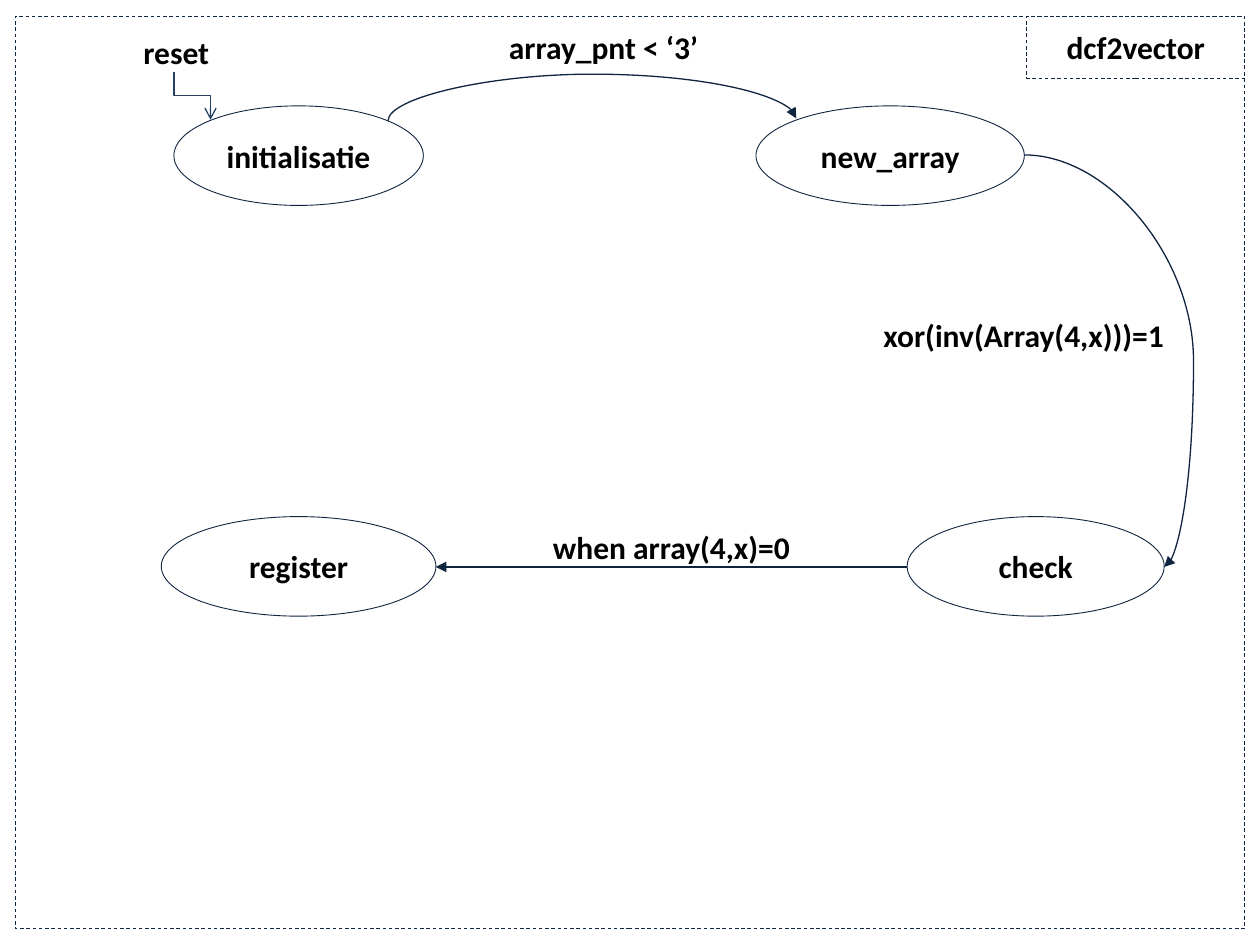
from dataclasses import dataclass

from lxml import etree
from pptx import Presentation
from pptx.dml.color import RGBColor
from pptx.enum import dml, shapes, text
from pptx.oxml import ns
from pptx.util import Inches, Pt

NAVY = RGBColor(0x0F, 0x24, 0x3E)
BLUE = RGBColor(0x25, 0x40, 0x61)
BLACK = RGBColor(0, 0, 0)
WHITE = RGBColor(255, 255, 255)
STATE_H = 0.79
LABEL_H = 0.4


@dataclass
class Frame:
    x: float
    y: float
    w: float
    h: float
    name: str = ""


@dataclass
class State:
    name: str
    x: float
    y: float
    w: float


@dataclass
class Label:
    words: str
    x: float
    y: float
    w: float
    wrap: bool = True


@dataclass
class Transition:
    start: tuple[float, float]
    end: tuple[float, float]
    bend: float = 0.5
    vertical: bool = False
    kind: shapes.MSO_CONNECTOR = shapes.MSO_CONNECTOR.CURVE
    color: RGBColor = NAVY
    head: str = "triangle"


FRAMES = [Frame(8.15, 0.13, 1.73, 0.49, "dcf2vector"), Frame(0.12, 0.13, 9.76, 7.24)]
STATES = [
    State("check", 7.2, 4.1, 2.04),
    State("new_array", 6, 0.84, 2.13),
    State("register", 1.28, 4.1, 2.18),
    State("initialisatie", 1.38, 0.84, 1.98),
]
TRANSITIONS = [
    Transition((3.08, 0.96), (6.32, 0.94), 18.5, vertical=True),
    Transition((8.13, 1.23), (9.24, 4.5), 1.21),
    Transition((7.2, 4.5), (3.46, 4.5)),
    Transition((1.38, 0.57), (1.67, 0.95), vertical=True,
               kind=shapes.MSO_CONNECTOR.ELBOW, color=BLUE, head="arrow"),
]
LABELS = [
    Label("array_pnt < ‘3’", 3.75, 0.17, 2.08),
    Label("xor(inv(Array(4,x)))=1", 6.87, 2.46, 2.51),
    Label("reset", 1.04, 0.21, 0.73, wrap=False),
    Label("when array(4,x)=0", 4.29, 4.14, 2.08),
]


def write(sp, words: str, align=text.PP_ALIGN.CENTER) -> None:
    p = sp.text_frame.paragraphs[0]
    p.text = words
    p.alignment = align
    p.font.name = "Calibri"
    p.font.size = Pt(18)
    p.font.bold = True
    p.font.color.rgb = BLACK


def add_outline(s, kind, x: float, y: float, w: float, h: float, words: str):
    sp = s.shapes.add_shape(kind, Inches(x), Inches(y), Inches(w), Inches(h))
    sp.shadow.inherit = False
    sp.line.color.rgb = NAVY
    sp.line.width = Pt(0.5)
    sp.text_frame.vertical_anchor = text.MSO_ANCHOR.MIDDLE
    if words:
        write(sp, words)
    return sp


def add_frame(s, f: Frame) -> None:
    sp = add_outline(s, shapes.MSO_SHAPE.RECTANGLE, f.x, f.y, f.w, f.h, f.name)
    sp.fill.background()
    sp.line.dash_style = dml.MSO_LINE.DASH


def add_state(s, st: State) -> None:
    sp = add_outline(s, shapes.MSO_SHAPE.OVAL, st.x, st.y, st.w, STATE_H, st.name)
    sp.fill.solid()
    sp.fill.fore_color.rgb = WHITE


def add_label(s, lb: Label) -> None:
    sp = s.shapes.add_textbox(Inches(lb.x), Inches(lb.y), Inches(lb.w), Inches(LABEL_H))
    sp.text_frame.word_wrap = lb.wrap
    sp.text_frame.auto_size = text.MSO_AUTO_SIZE.SHAPE_TO_FIT_TEXT
    write(sp, lb.words, text.PP_ALIGN.CENTER if lb.wrap else text.PP_ALIGN.LEFT)


def add_transition(s, t: Transition) -> None:
    (x1, y1), (x2, y2) = t.start, t.end
    down = y2 > y1
    if t.vertical:
        cx, cy = (x1 + x2) / 2, (y1 + y2) / 2
        half_w, half_h = abs(y2 - y1) / 2, (x2 - x1) / 2
        if not down:
            half_h = -half_h
        x1, y1, x2, y2 = cx + half_w, cy - half_h, cx - half_w, cy + half_h
    cn = s.shapes.add_connector(t.kind, Inches(x1), Inches(y1), Inches(x2), Inches(y2))
    cn.line.color.rgb = t.color
    cn.line.width = Pt(0.75)
    pr = cn._element.spPr
    if t.vertical:
        pr.find(ns.qn("a:xfrm")).set("rot", str((270 if down else 90) * 60000))
    guides = pr.find(ns.qn("a:prstGeom")).find(ns.qn("a:avLst"))
    etree.SubElement(guides, ns.qn("a:gd"), name="adj1", fmla=f"val {round(t.bend * 100000)}")
    etree.SubElement(pr.find(ns.qn("a:ln")), ns.qn("a:tailEnd"), type=t.head)
    etree.SubElement(pr, ns.qn("a:effectLst"))


def main() -> None:
    prs = Presentation()
    prs.slide_width, prs.slide_height = Inches(10), Inches(7.5)
    s = prs.slides.add_slide(prs.slide_layouts[6])
    for items, draw in ((FRAMES, add_frame), (STATES, add_state),
                        (TRANSITIONS, add_transition), (LABELS, add_label)):
        for item in items:
            draw(s, item)
    prs.save("out.pptx")


main()
